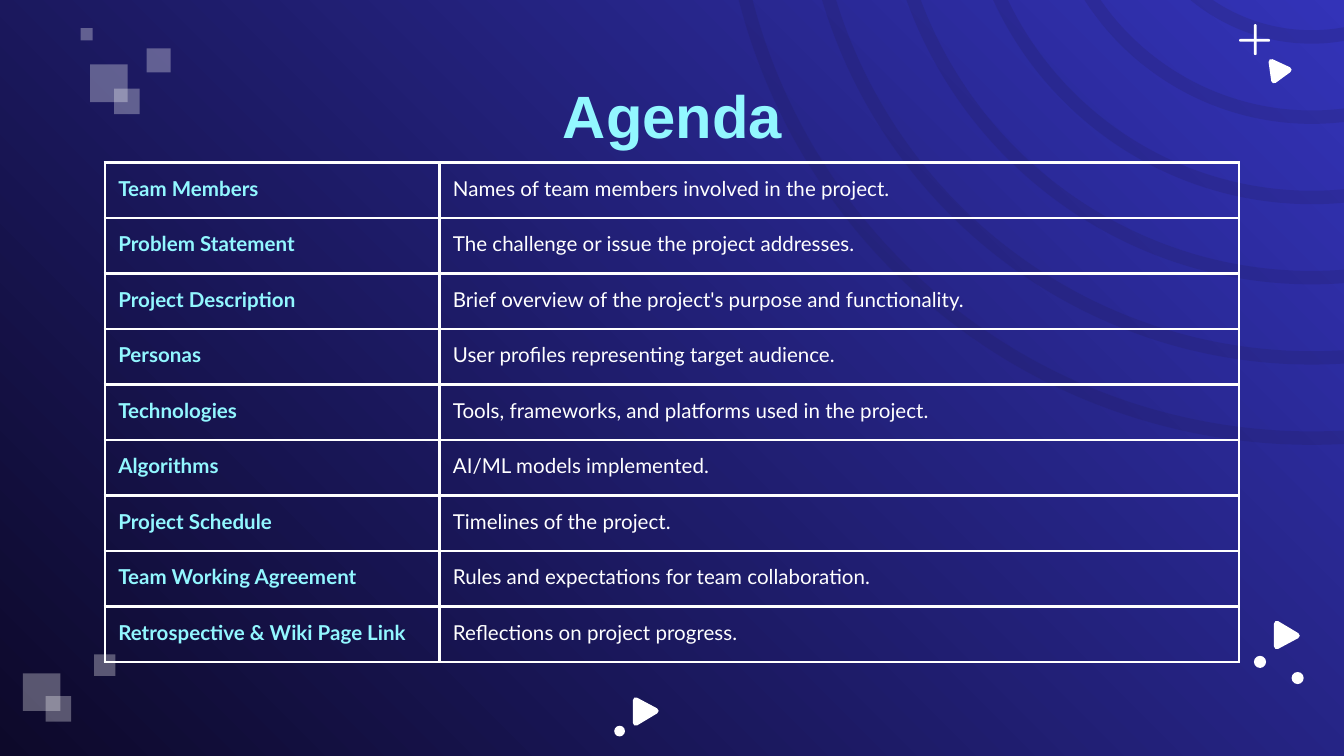
"""Build the project agenda slide: a two-column table on a decorated gradient."""
import pptx
import pptx.dml.color
import pptx.enum.shapes
import pptx.enum.text
import pptx.oxml
import pptx.oxml.ns
import pptx.util
from pptx.util import Inches

WHITE, CYAN, RING = "FFFFFF", "92F7FF", "201A4A"
MSO = pptx.enum.shapes.MSO_SHAPE
NS = pptx.oxml.ns.nsdecls("a")


def rgb(value):
    return pptx.dml.color.RGBColor.from_string(value)


def paint(shape, color, alpha=100):
    shape.shadow.inherit = False
    shape.fill.solid()
    shape.fill.fore_color.rgb = rgb(color)
    shape.line.fill.background()
    if alpha < 100:
        clr = shape.fill._xPr.find(".//" + pptx.oxml.ns.qn("a:srgbClr"))
        clr.append(pptx.oxml.parse_xml(f'<a:alpha {NS} val="{alpha * 1000}"/>'))


prs = pptx.Presentation()
prs.slide_width = Inches(10)
prs.slide_height = prs.slide_width * 9 // 16
s = prs.slides.add_slide(prs.slide_layouts[6])

bg = s.background.fill
bg.gradient()
bg.gradient_angle = 45
for stop, color in zip(bg.gradient_stops, ["0D092A", "3333B8"]):
    stop.color.rgb = rgb(color)

for i in range(6):
    size = 8.8 - 1.194 * i
    ring = s.shapes.add_shape(MSO.DONUT, Inches(9.76 - size / 2), Inches(-1.09 - size / 2),
                              Inches(size), Inches(size))
    ring.adjustments[0] = 0.1 / size
    paint(ring, RING, 17)

squares = [(0.67, 0.48, 0.28), (0.85, 0.66, 0.19), (1.09, 0.36, 0.18), (0.6, 0.21, 0.09),
           (0.7, 4.87, 0.16), (0.17, 5.01, 0.28), (0.34, 5.18, 0.19)]
for x, y, size in squares:
    square = s.shapes.add_shape(MSO.RECTANGLE, Inches(x), Inches(y), Inches(size), Inches(size))
    paint(square, WHITE, 31)

for x, y, w, h in [(9.33, 0.18, 0.02, 0.23), (9.22, 0.29, 0.23, 0.02)]:
    bar = s.shapes.add_shape(MSO.ROUNDED_RECTANGLE, Inches(x), Inches(y), Inches(w), Inches(h))
    bar.adjustments[0] = 0.5
    paint(bar, WHITE)

for x, y, size in [(9.61, 5, 0.09), (9.33, 4.88, 0.09), (4.57, 5.4, 0.08)]:
    dot = s.shapes.add_shape(MSO.OVAL, Inches(x), Inches(y), Inches(size), Inches(size))
    paint(dot, WHITE)

triangles = [[(9.46, 0.46), (9.48, 0.6), (9.59, 0.52)],
             [(9.5, 4.64), (9.5, 4.81), (9.65, 4.73)],
             [(4.73, 5.21), (4.73, 5.38), (4.88, 5.29)]]
for points in triangles:
    corners = [(Inches(x), Inches(y)) for x, y in points]
    builder = s.shapes.build_freeform(*corners[0])
    builder.add_line_segments(corners[1:])
    triangle = builder.convert_to_shape()
    paint(triangle, WHITE)
    triangle.line.color.rgb = rgb(WHITE)
    triangle.line.width = pptx.util.Pt(3)
    triangle.line._get_or_add_ln().append(pptx.oxml.parse_xml(f"<a:round {NS}/>"))

title = s.shapes.add_textbox(Inches(0.79), Inches(0.59), Inches(8.43), Inches(0.52))
tf = title.text_frame
tf.word_wrap = True
tf.vertical_anchor = pptx.enum.text.MSO_ANCHOR.MIDDLE
tf.margin_left = tf.margin_right = tf.margin_top = tf.margin_bottom = Inches(0.1)
p = tf.paragraphs[0]
p.text = "Agenda"
p.alignment = pptx.enum.text.PP_ALIGN.CENTER
p.font.name, p.font.size, p.font.bold = "Arial", pptx.util.Pt(32), True
p.font.color.rgb = rgb(CYAN)

agenda = [
    ("Team Members", "Names of team members involved in the project."),
    ("Problem Statement", "The challenge or issue the project addresses."),
    ("Project Description", "Brief overview of the project's purpose and functionality."),
    ("Personas", "User profiles representing target audience."),
    ("Technologies", "Tools, frameworks, and platforms used in the project."),
    ("Algorithms", "AI/ML models implemented."),
    ("Project Schedule", "Timelines of the project."),
    ("Team Working Agreement", "Rules and expectations for team collaboration."),
    ("Retrospective & Wiki Page Link", "Reflections on project progress."),
]
table = s.shapes.add_table(len(agenda), 2, Inches(0.78), Inches(1.21),
                           Inches(8.44), Inches(3.72)).table
table.first_row = table.horz_banding = False
table.columns[0].width, table.columns[1].width = Inches(2.49), Inches(5.95)
for i, texts in enumerate(agenda):
    for j, text in enumerate(texts):
        cell = table.cell(i, j)
        cell.margin_left = cell.margin_right = Inches(0.1)
        cell.margin_top = cell.margin_bottom = Inches(0.1)
        tcPr = cell._tc.get_or_add_tcPr()
        for side in ("lnL", "lnR", "lnT", "lnB"):
            tcPr.append(pptx.oxml.parse_xml(
                f'<a:{side} {NS} w="19050"><a:solidFill><a:srgbClr val="{WHITE}"/>'
                f'</a:solidFill></a:{side}>'))
        cell.fill.background()
        p = cell.text_frame.paragraphs[0]
        p.text = text
        p.font.name, p.font.size, p.font.bold = "Lato", pptx.util.Pt(11), j == 0
        p.font.color.rgb = rgb(CYAN if j == 0 else WHITE)

prs.save("out.pptx")
